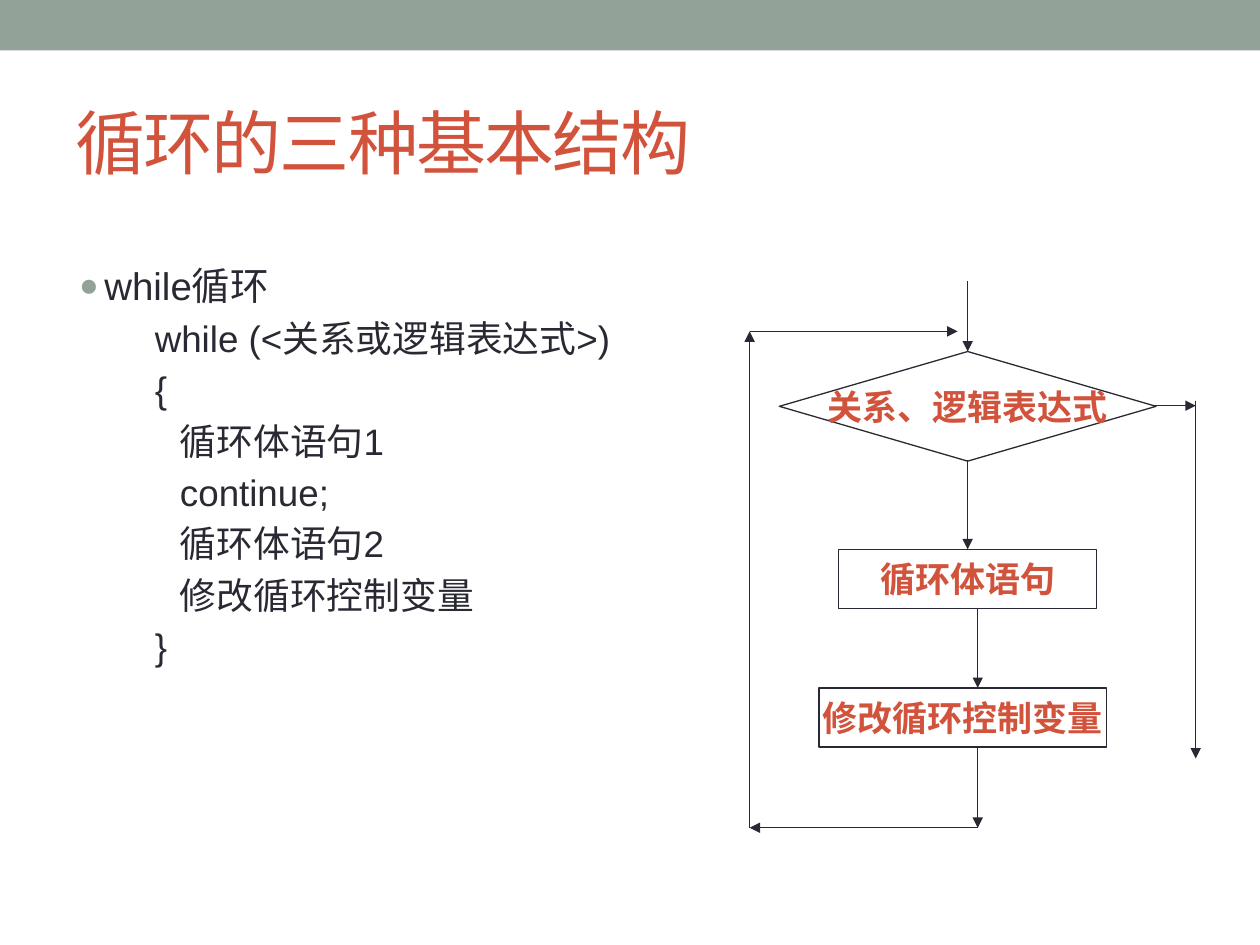
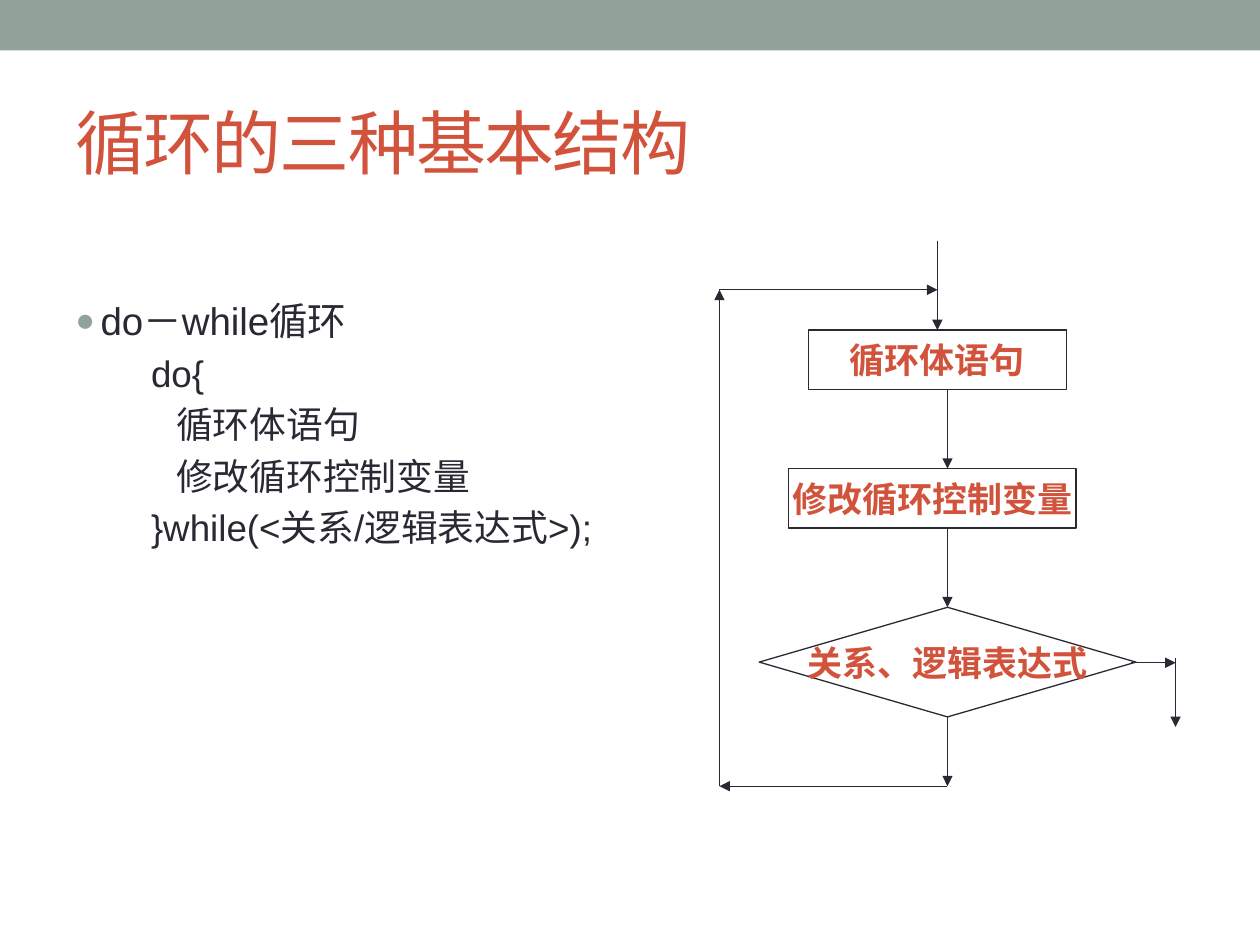
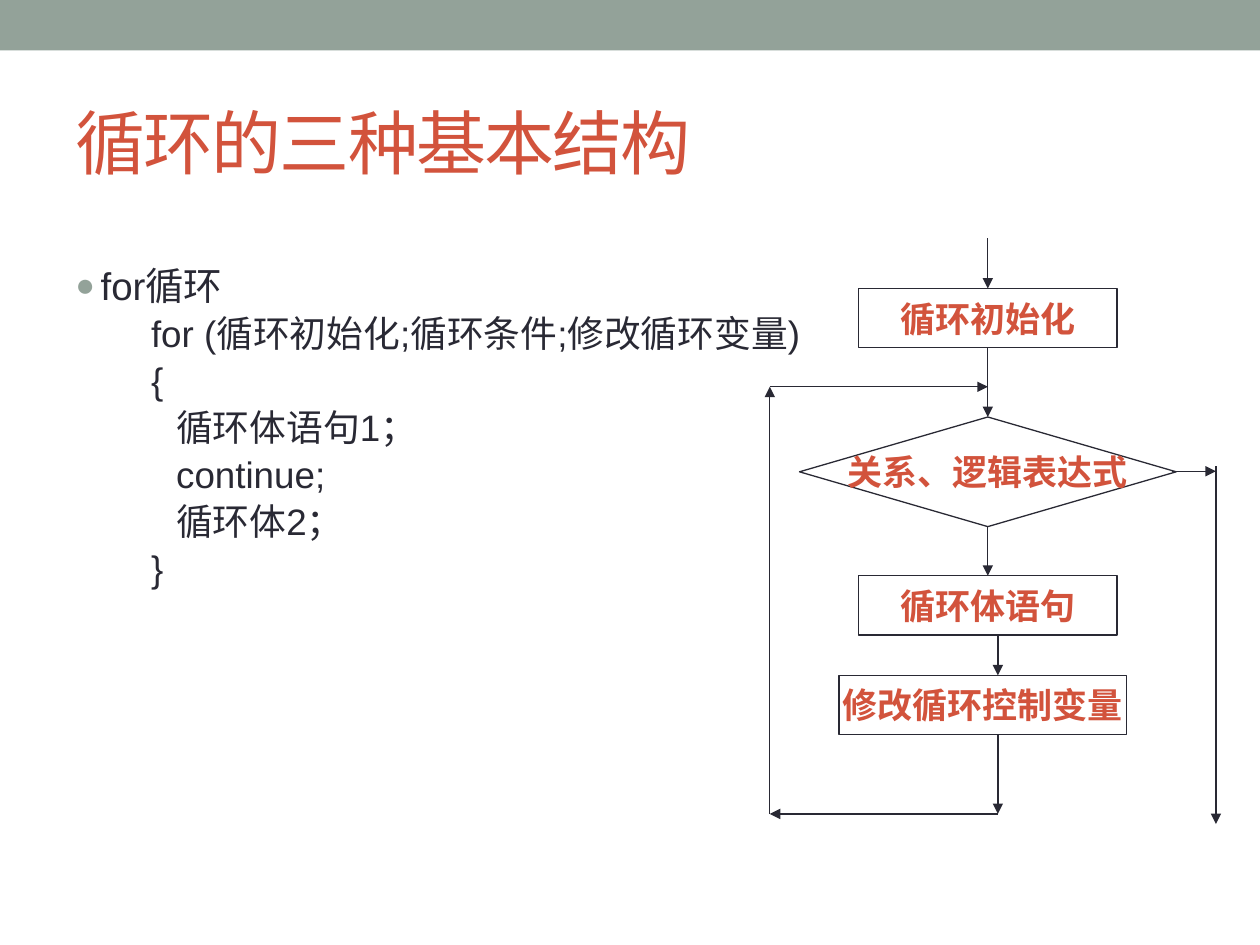
from pptx import Presentation
from pptx.dml.color import RGBColor
from pptx.enum import shapes, text
from pptx.oxml import parse_xml
from pptx.oxml.ns import nsdecls
from pptx.util import Inches, Pt

HUES = {"band": "93A299", "accent": "D2533C", "ink": "292934"}
NODES = {
    "test": ("关系、逻辑表达式", 2.99, 0.87),
    "init": ("循环初始化", 2.05, 0.47),
    "body": ("循环体语句", 2.05, 0.47),
    "step": ("修改循环控制变量", 2.28, 0.47),
}
SHIFT = 0.08
PAGES = [
    {
        "at": (0.53, 2.03), "gap": 1.0, "axis": 7.68,
        "code": ["while循环", "while (<关系或逻辑表达式>)", "{", "\t循环体语句1",
                 "\tcontinue;", "\t循环体语句2", "\t修改循环控制变量", "}"],
        "nodes": [("test", 0, 2.79), ("body", 0, 4.36), ("step", -0.04, 5.46)],
        "drops": [(0, 2.23, 2.79), (0, 3.65, 4.36),
                  (SHIFT, 4.83, 5.46), (SHIFT, 5.94, 6.57)],
        "loop": (6.57, 2.63, -SHIFT), "exit": (0, 3.22, 6.02),
    },
    {
        "at": (0.5, 2.31), "gap": 1.0, "axis": 7.44,
        "code": ["do-while循环".replace("-", "\uff0d"), "do{", "\t循环体语句",
                 "\t修改循环控制变量", "}while(<关系/逻辑表达式>);"],
        "nodes": [("body", 0, 2.62), ("step", -0.04, 3.72), ("test", SHIFT, 4.82)],
        "drops": [(0, 1.91, 2.62), (SHIFT, 3.09, 3.72),
                  (SHIFT, 4.19, 4.82), (SHIFT, 5.69, 6.24)],
        "loop": (6.24, 2.3, 0), "exit": (SHIFT, 5.26, 5.77),
    },
    {
        "at": (0.5, 2.07), "gap": 0.9, "axis": 7.84,
        "code": ["for循环", "for (循环初始化;循环条件;修改循环变量)", "{",
                 "\t循环体语句1;".replace(";", "\uff1b"), "\tcontinue;",
                 "\t循环体2;".replace(";", "\uff1b"), "}"],
        "nodes": [("init", 0, 2.29), ("test", 0, 3.31),
                  ("body", 0, 4.57), ("step", -0.04, 5.36)],
        "drops": [(0, 1.89, 2.29), (0, 2.76, 3.31), (0, 4.18, 4.57),
                  (SHIFT, 5.04, 5.36), (SHIFT, 5.83, 6.46)],
        "loop": (6.46, 3.07, 0), "exit": (0, 3.74, 6.54),
    },
]


def write(para, words, size, hue="ink", font="Arial", bold=False, align=None):
    run = para.add_run()
    run.text = words
    run.font.size = Pt(size)
    run.font.name = font
    run.font.bold = bold
    run.font.color.rgb = RGBColor.from_string(HUES[hue])
    para.alignment = align
    return run


def arrow(group, x1, y1, x2, y2):
    line = group.shapes.add_connector(
        shapes.MSO_CONNECTOR.STRAIGHT, Inches(x1), Inches(y1), Inches(x2), Inches(y2))
    line.line.color.rgb = RGBColor.from_string(HUES["ink"])
    line.line.width = Pt(0.75)
    line.line._get_or_add_ln().append(
        parse_xml(f'<a:tailEnd {nsdecls("a")} type="triangle"/>'))
    line._element.spPr.append(parse_xml(f'<a:effectLst {nsdecls("a")}/>'))


deck = Presentation()
deck.slide_width, deck.slide_height = Inches(10), Inches(7.5)

for page in PAGES:
    slide = deck.slides.add_slide(deck.slide_layouts[6])
    band = slide.shapes.add_shape(
        shapes.MSO_SHAPE.RECTANGLE, 0, 0, Inches(10), Inches(0.4))
    band.shadow.inherit = False
    band.fill.solid()
    band.fill.fore_color.rgb = RGBColor.from_string(HUES["band"])
    band.line.fill.background()

    title = slide.shapes.add_textbox(Inches(0.5), Inches(0.58), Inches(9), Inches(1.08))
    frame = title.text_frame
    frame.word_wrap = True
    frame.vertical_anchor = text.MSO_ANCHOR.MIDDLE
    run = write(frame.paragraphs[0], "循环的三种基本结构", 40, "accent")
    run.font._element.set("spc", "-100")

    left, top = page["at"]
    frame = slide.shapes.add_textbox(
        Inches(left), Inches(top), Inches(8.38), Inches(3.57)).text_frame
    frame.word_wrap = True
    for i, words in enumerate(page["code"]):
        para = frame.add_paragraph() if i else frame.paragraphs[0]
        write(para, words, 21 if i else 22)
        para.level = 1 if i else 0
        para.line_spacing = page["gap"]
        props = para._p.get_or_add_pPr()
        props.set("marL", str(Inches(0.8 if i else 0.2)))
        props.set("indent", str(Inches(-0.2)))
        marks = ['<a:spcBef {}><a:spcPct val="20000"/></a:spcBef>']
        if i == 0:
            marks += [f'<a:buClr {{}}><a:srgbClr val="{HUES["band"]}"/></a:buClr>',
                      '<a:buSzPct {} val="85000"/>',
                      '<a:buFont {} typeface="Arial"/>',
                      '<a:buChar {} char="●"/>']
        else:
            marks.append('<a:buNone {}/>')
        for mark in marks:
            props.append(parse_xml(mark.format(nsdecls("a"))))

    chart = slide.shapes.add_group_shape()
    axis = page["axis"]
    for kind, shift, top in page["nodes"]:
        label, wide, high = NODES[kind]
        form = (shapes.MSO_SHAPE.FLOWCHART_DECISION if kind == "test"
                else shapes.MSO_SHAPE.RECTANGLE)
        node = chart.shapes.add_shape(
            form, Inches(axis + shift - wide / 2), Inches(top), Inches(wide), Inches(high))
        node.shadow.inherit = False
        node.fill.background()
        node.line.color.rgb = RGBColor.from_string(HUES["ink"])
        node.line.width = Pt(0.75)
        frame = node.text_frame
        frame.word_wrap = False
        frame.vertical_anchor = text.MSO_ANCHOR.MIDDLE
        write(frame.paragraphs[0], label, 20, "accent", "Open Sans", True,
              text.PP_ALIGN.CENTER)

    for shift, start, end in page["drops"]:
        arrow(chart, axis + shift, start, axis + shift, end)

    low, high, shift = page["loop"]
    back = axis - 1.73
    arrow(chart, axis + SHIFT, low, back, low)
    arrow(chart, back, low, back, high)
    arrow(chart, back, high, axis + shift, high)

    shift, level, end = page["exit"]
    out = axis + shift + 1.81
    arrow(chart, out - 0.35, level, out, level)
    arrow(chart, out, level - 0.04, out, end)

deck.save("out.pptx")
